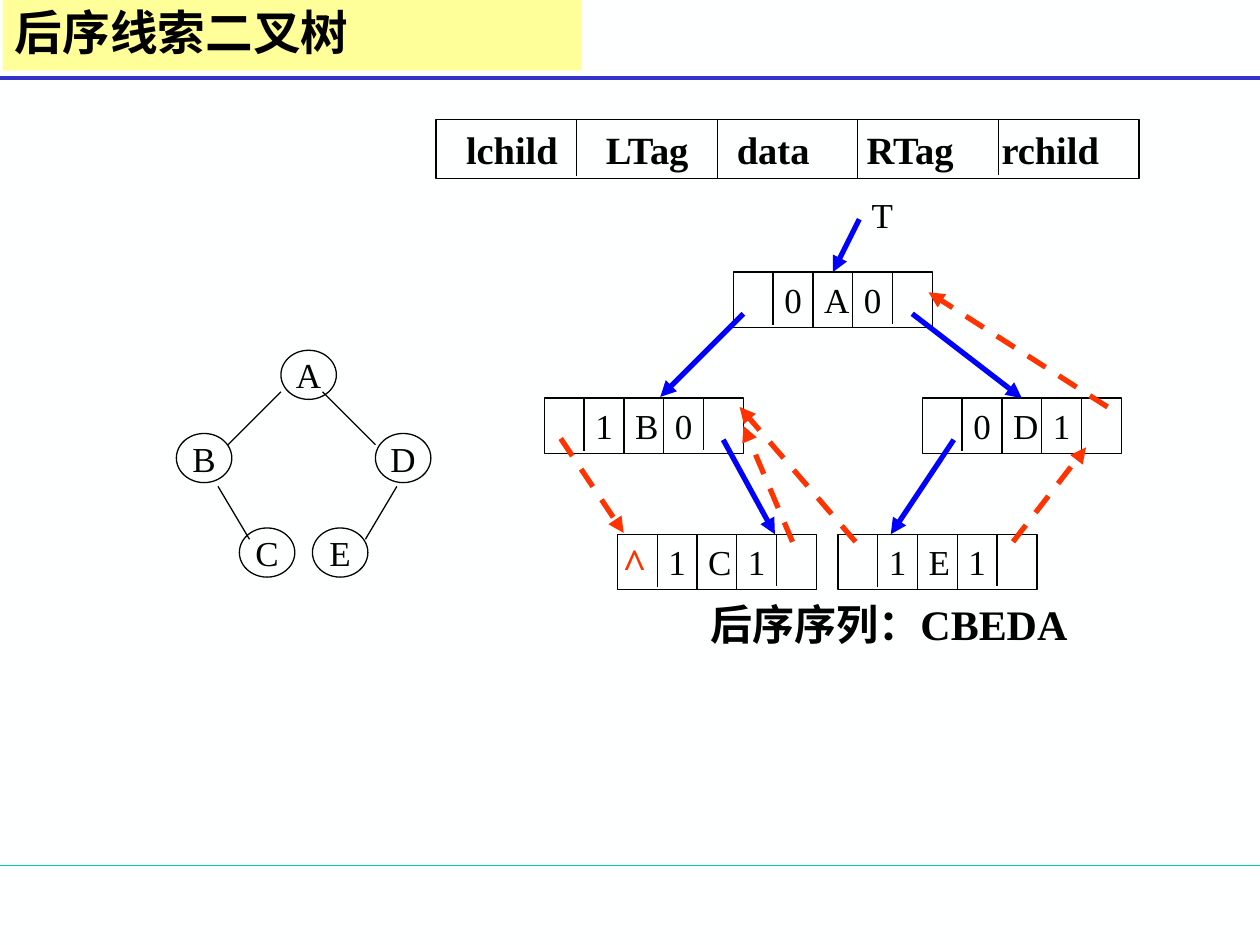
from dataclasses import dataclass

from lxml import etree
from pptx import Presentation
from pptx.dml.color import RGBColor
from pptx.enum import dml, shapes, text
from pptx.oxml import ns
from pptx.util import Inches, Pt


@dataclass(frozen=True)
class Theme:
    """Colours, fonts and type sizes of the slide."""
    background: str = "FEFFFF"
    ink: str = "000000"
    child: str = "0000FF"
    thread: str = "FF3300"
    banner: str = "FFFF99"
    title_rule: str = "3333CC"
    footer_rule: str = "00CC99"
    latin: str = "Times New Roman"
    cjk: str = "Noto Sans CJK SC"
    title: float = 27.2
    field: float = 22
    caption: float = 24
    label: float = 20
    thin: float = 0.75
    rule: float = 2.25
    thick: float = 3


THEME = Theme()
NODE_SIZE = (1.58, 0.44)
CIRCLE_SIZE = (0.44, 0.39)
FIELD_TABS = (0.14, 1.25, 2.29, 3.32, 4.39)


def rgb(colour):
    """Turn a hex string into a colour."""
    return RGBColor.from_string(colour)


def write(holder, words, size=THEME.label, colour=THEME.ink, bold=False, font=THEME.latin,
          align="LEFT", anchor="MIDDLE", wrap=False, left_inset=0.1, tabs=(), spacing=None):
    """Put one formatted paragraph into a shape."""
    frame = holder.text_frame
    frame.word_wrap = wrap
    frame.margin_left = Inches(left_inset)
    frame.vertical_anchor = getattr(text.MSO_ANCHOR, anchor)
    paragraph = frame.paragraphs[0]
    paragraph.alignment = getattr(text.PP_ALIGN, align)
    if spacing:
        paragraph.line_spacing = spacing
    if tabs:
        stops = etree.SubElement(paragraph._p.get_or_add_pPr(), ns.qn("a:tabLst"))
        for position in tabs:
            etree.SubElement(stops, ns.qn("a:tab"), pos=str(Inches(position)), algn="l")
    run = paragraph.add_run()
    run.text = words
    run.font.size = Pt(size)
    run.font.bold = bold
    run.font.color.rgb = rgb(colour)
    run.font.name = font
    etree.SubElement(run._r.get_or_add_rPr(), ns.qn("a:ea"), typeface=THEME.cjk)


def add_label(slide, left, top, width, height, words, **style):
    """Add a free-standing text box."""
    box = slide.shapes.add_textbox(*map(Inches, (left, top, width, height)))
    write(box, words, **style)


def add_outline(slide, kind, left, top, width, height, fill=None):
    """Add a thinly outlined shape, or a filled one without an outline."""
    outline = slide.shapes.add_shape(kind, *map(Inches, (left, top, width, height)))
    outline.shadow.inherit = False
    if fill:
        outline.fill.solid()
        outline.fill.fore_color.rgb = rgb(fill)
        outline.line.fill.background()
    else:
        outline.fill.background()
        outline.line.color.rgb = rgb(THEME.ink)
        outline.line.width = Pt(THEME.thin)
    return outline


def add_line(slide, start, end, colour=THEME.ink, width=THEME.thin, arrow=False, dashed=False,
             target=None, site=0):
    """Add a straight line, with an arrowhead or joined to a target if asked."""
    line = slide.shapes.add_connector(shapes.MSO_CONNECTOR.STRAIGHT, *map(Inches, start + end))
    line.line.color.rgb = rgb(colour)
    line.line.width = Pt(width)
    if dashed:
        line.line.dash_style = dml.MSO_LINE.DASH
    if arrow:
        etree.SubElement(line.line._get_or_add_ln(), ns.qn("a:tailEnd"), type="triangle")
    etree.SubElement(line._element.spPr, ns.qn("a:effectLst"))
    if target is not None:
        line.end_connect(target, site)


def add_record(slide, left, top, width, height):
    """Add a rectangle divided into five equal fields."""
    record = add_outline(slide, shapes.MSO_SHAPE.RECTANGLE, left, top, width, height)
    for index, gap in enumerate((0.02, 0, 0, 0.03), start=1):
        x = left + index * width / 5
        add_line(slide, (x, top), (x, top + height - gap))
    return record


def add_node(slide, left, top, letter, left_tag, right_tag):
    """Add a threaded node with its letter and two tags."""
    width, height = NODE_SIZE
    node = add_record(slide, left, top, width, height)
    write(node, letter, wrap=True, left_inset=0.72)
    for field, tag in ((1, left_tag), (3, right_tag)):
        centre = left + (field + 0.5) * width / 5
        add_label(slide, centre - 0.17, top, 0.34, height, tag, align="CENTER")
    return node


def add_plain_tree(slide):
    """Draw the ordinary binary tree."""
    for letter, left, top in (("A", 2.23, 2.78), ("B", 1.4, 3.44), ("C", 1.9, 4.19),
                              ("D", 2.98, 3.44), ("E", 2.48, 4.19)):
        circle = add_outline(slide, shapes.MSO_SHAPE.OVAL, left, top, *CIRCLE_SIZE)
        write(circle, letter, align="CENTER")
    for start, end in (((2.23, 3.11), (1.81, 3.53)), ((2.56, 3.11), (2.98, 3.53)),
                       ((1.73, 3.86), (1.98, 4.28)), ((3.15, 3.86), (2.9, 4.28))):
        add_line(slide, start, end)


def add_threaded_tree(slide):
    """Draw the threaded nodes with their child and thread pointers."""
    nodes = {letter: add_node(slide, left, top, letter, *tags)
             for letter, left, top, tags in (
                 ("A", 5.82, 2.16, "00"), ("B", 4.32, 3.16, "10"), ("D", 7.32, 3.16, "01"),
                 ("C", 4.9, 4.24, "11"), ("E", 6.65, 4.24, "11"))}
    for start, end, target in (
            ((6.82, 1.74), (6.65, 2.15), "A"), ((5.9, 2.49), (5.24, 3.15), None),
            ((7.24, 2.49), (8.15, 3.15), "D"), ((5.74, 3.49), (6.15, 4.24), None),
            ((7.57, 3.49), (7.07, 4.24), None)):
        add_line(slide, start, end, THEME.child, THEME.thick, arrow=True,
                 target=nodes.get(target), site=0)
    for start, end, target in (
            ((4.45, 3.48), (4.95, 4.23), None), ((6.29, 4.3), (5.87, 3.4), "B"),
            ((6.79, 4.3), (5.87, 3.23), None), ((8.04, 4.3), (8.62, 3.55), None),
            ((8.79, 3.23), (7.37, 2.32), None)):
        add_line(slide, start, end, THEME.thread, THEME.thick, arrow=True, dashed=True,
                 target=nodes.get(target), site=3)
    add_label(slide, 6.82, 1.49, 0.37, 0.44, "T", anchor="TOP")
    add_label(slide, 4.84, 4.21, 0.39, 0.5, "^", size=THEME.caption, colour=THEME.thread,
              bold=True, align="CENTER")


def main():
    """Build the slide and save it."""
    deck = Presentation()
    deck.slide_width, deck.slide_height = Inches(10), Inches(7.5)
    slide = deck.slides.add_slide(deck.slide_layouts[6])
    slide.background.fill.solid()
    slide.background.fill.fore_color.rgb = rgb(THEME.background)
    add_line(slide, (0, 6.87), (10, 6.87), THEME.footer_rule)
    add_line(slide, (0, 0.62), (10, 0.62), THEME.title_rule, THEME.rule)
    banner = add_outline(slide, shapes.MSO_SHAPE.RECTANGLE, 0.02, 0, 4.59, 0.56, THEME.banner)
    write(banner, "后序线索二叉树", size=THEME.title, bold=True, font=THEME.cjk, wrap=True,
          spacing=0.9)
    fields = add_record(slide, 3.46, 0.95, 5.58, 0.47)
    write(fields, "\tlchild\tLTag\tdata\tRTag\trchild", size=THEME.field, bold=True, wrap=True,
          tabs=FIELD_TABS)
    add_plain_tree(slide)
    add_threaded_tree(slide)
    add_label(slide, 5.54, 4.7, 3.11, 0.5, "后序序列：CBEDA", size=THEME.caption, bold=True,
              anchor="TOP")
    deck.save("out.pptx")


if __name__ == "__main__":
    main()
